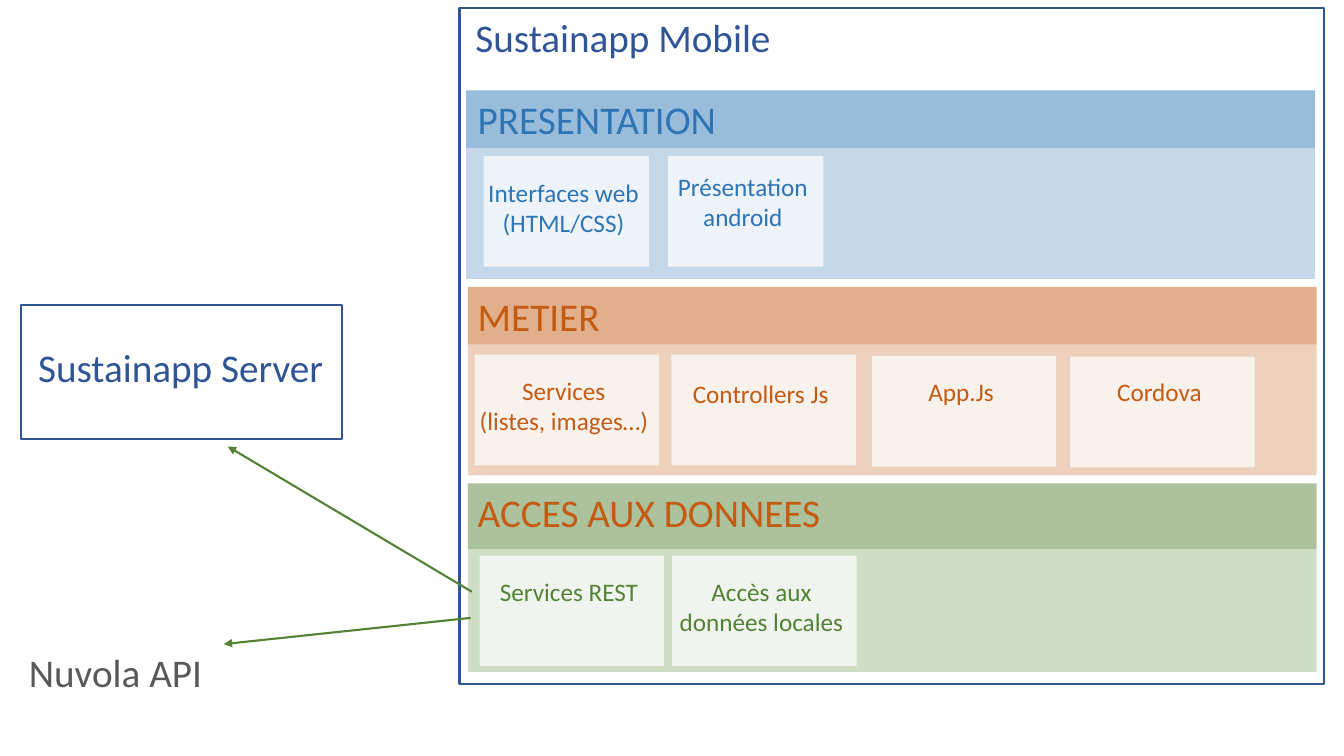
from lxml import etree
from pptx import Presentation
from pptx.dml.color import RGBColor
from pptx.enum.shapes import MSO_CONNECTOR as Connector, MSO_SHAPE as Shape
from pptx.enum.text import MSO_ANCHOR as Anchor, PP_ALIGN as Align
from pptx.oxml.ns import qn
from pptx.util import Cm, Pt

FONT = "Calibri"
WHITE = RGBColor(0xFF, 0xFF, 0xFF)
NAVY = RGBColor(0x2F, 0x55, 0x97)
BLUE = RGBColor(0x2E, 0x75, 0xB6)
ORANGE = RGBColor(0xC5, 0x5A, 0x11)
GREEN = RGBColor(0x54, 0x82, 0x35)
GREY = RGBColor(0x59, 0x59, 0x59)

LAYER_TINT, CARD_TINT = 28, 70
LAYER_TOP, LAYER_PITCH = 2.28, 4.95
LAYER_WIDTH, LAYER_HEIGHT = 21.39, 4.75
TITLE_LEFT = 11.79
CARD_HEIGHT = 2.79

LAYERS = [
    ("PRESENTATION", BLUE, BLUE, 11.75, 1.45, [
        (["Interfaces web", "(HTML/CSS)"], 12.19, 1.65, 4.17, 0.53),
        (["Présentation android"], 16.84, 1.65, 3.91, 0.38),
    ]),
    ("METIER", ORANGE, ORANGE, 11.79, 1.45, [
        (["Services", "(listes, images…)"], 11.96, 1.71, 4.65, 0.52),
        (["Controllers Js"], 16.92, 1.71, 4.65, 0.59),
        (["App.Js"], 21.97, 1.74, 4.65, 0.52),
        (["Cordova"], 26.97, 1.76, 4.65, 0.5),
    ]),
    ("ACCES AUX DONNEES", ORANGE, GREEN, 11.79, 1.65, [
        (["Services REST"], 12.09, 1.82, 4.65, 0.52),
        (["Accès aux données locales"], 16.94, 1.82, 4.65, 0.52),
    ]),
]

MOBILE = ("Sustainapp Mobile", (11.58, 0.2, 21.79, 17.04), (11.73, 0.2, 8.18, 1.45))
SERVER = ("Sustainapp Server", (0.52, 7.68, 8.1, 3.38), (0.71, 8.53, 7.98, 1.45))
API = ("Nuvola API", (0.48, 16.2, 7.98, 1.45))

CALLS = [
    ((11.89, 14.91), (5.74, 11.25)),
    ((11.86, 15.57), (5.64, 16.23)),
]


def add_rect(slide, box, color, opacity=100, outline=None):
    rect = slide.shapes.add_shape(Shape.RECTANGLE, *map(Cm, box))
    rect.shadow.inherit = False
    rect.fill.solid()
    rect.fill.fore_color.rgb = color
    if opacity < 100:
        rgb = rect.fill._xPr.find(".//" + qn("a:srgbClr"))
        etree.SubElement(rgb, qn("a:alpha"), val=str(opacity * 1000))
    if outline is None:
        rect.line.fill.background()
    else:
        rect.line.color.rgb = outline
        rect.line.width = Pt(1.5)
    return rect


def style(font, size, color):
    font.name, font.size = FONT, Pt(size)
    font.color.rgb = color


def add_title(slide, box, title, color):
    frame = slide.shapes.add_textbox(*map(Cm, box)).text_frame
    frame.word_wrap = True
    frame.text = title
    style(frame.paragraphs[0].font, 28, color)


def add_card(slide, box, lines, inset, color):
    frame = add_rect(slide, box, WHITE, CARD_TINT).text_frame
    frame.word_wrap = True
    frame.vertical_anchor = Anchor.TOP
    frame.margin_top = Cm(inset)
    frame.margin_left, frame.margin_right = Cm(0), Cm(0.15)
    frame.text = "\n".join(lines)
    for paragraph in frame.paragraphs:
        paragraph.alignment = Align.CENTER
        style(paragraph.font, 18, color)


def add_layer(slide, top, title, title_color, tint, left, header_height, cards):
    for height in (LAYER_HEIGHT, header_height):
        add_rect(slide, (left, top, LAYER_WIDTH, height), tint, LAYER_TINT)
    add_title(slide, (TITLE_LEFT, top, 10.5, 1.45), title, title_color)
    for lines, card_left, offset, width, inset in cards:
        add_card(slide, (card_left, top + offset, width, CARD_HEIGHT), lines, inset, tint)


def add_system(slide, title, frame_box, title_box):
    add_rect(slide, frame_box, WHITE, outline=NAVY)
    add_title(slide, title_box, title, NAVY)


def add_call(slide, start, end):
    call = slide.shapes.add_connector(Connector.STRAIGHT, *map(Cm, start + end))
    call.line.color.rgb = GREEN
    call.line.width = Pt(1.5)
    etree.SubElement(call.line._get_or_add_ln(), qn("a:tailEnd"), type="triangle")
    etree.SubElement(call._element.spPr, qn("a:effectLst"))


def main():
    deck = Presentation()
    deck.slide_width, deck.slide_height = Cm(33.87), Cm(19.05)
    slide = deck.slides.add_slide(deck.slide_layouts[6])
    add_system(slide, *MOBILE)
    for index, layer in enumerate(LAYERS):
        add_layer(slide, LAYER_TOP + index * LAYER_PITCH, *layer)
    for start, end in CALLS:
        add_call(slide, start, end)
    add_system(slide, *SERVER)
    api_name, api_box = API
    add_title(slide, api_box, api_name, GREY)
    deck.save("out.pptx")


if __name__ == "__main__":
    main()
